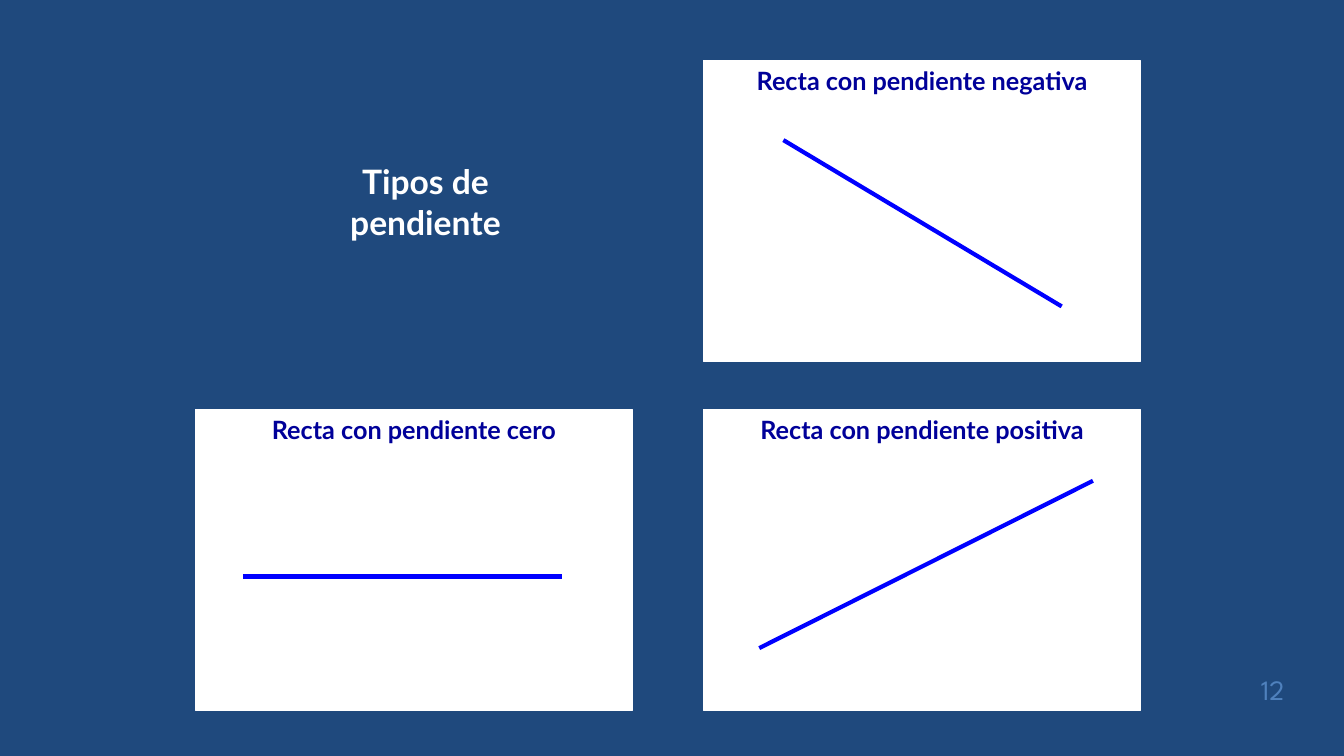
from lxml.etree import SubElement
from pptx import Presentation
from pptx.dml.color import RGBColor
from pptx.enum.shapes import MSO_CONNECTOR as Connector, MSO_SHAPE as Shape
from pptx.enum.text import MSO_ANCHOR as Anchor, PP_ALIGN as Align
from pptx.oxml.ns import qn
from pptx.util import Inches, Pt

TITLE = "Tipos de pendiente"
PAGE_NUMBER = "12"
PANELS = [
    ("Recta con pendiente negativa", 1, 0, (0.79, 0.79), (3.55, 2.44)),
    ("Recta con pendiente cero", 0, 1, (0.47, 1.66), (3.63, 1.66)),
    ("Recta con pendiente positiva", 1, 1, (0.55, 2.37), (3.86, 0.71)),
]
LEFT, TOP = 1.94, 0.6
PANEL_WIDTH, PANEL_HEIGHT = 4.33, 2.99
COLUMN_STEP, ROW_STEP = 5.04, 3.46


def color(value):
    return RGBColor.from_string(value)


def write(frame, text, size, font, ink, align, anchor, bold=False):
    frame.text = text
    frame.vertical_anchor = anchor
    para = frame.paragraphs[0]
    para.alignment = align
    para.line_spacing = 1.0
    para.space_before = Pt(0)
    para.font.size = Pt(size)
    para.font.name = font
    para.font.bold = bold
    para.font.color.rgb = color(ink)


def add_panel(page, caption, column, row, start, end):
    left = LEFT + column * COLUMN_STEP
    top = TOP + row * ROW_STEP
    panel = page.shapes.add_shape(
        Shape.RECTANGLE, Inches(left), Inches(top),
        Inches(PANEL_WIDTH), Inches(PANEL_HEIGHT))
    panel.shadow.inherit = False
    panel.fill.solid()
    panel.fill.fore_color.rgb = color("FFFFFF")
    panel.line.color.rgb = color("FFFFFF")
    panel.line.width = Pt(0.75)
    panel.text_frame.word_wrap = False
    write(panel.text_frame, caption, 18, "Lato", "000099",
          Align.CENTER, Anchor.TOP, True)

    slope = page.shapes.add_connector(
        Connector.STRAIGHT,
        Inches(left + start[0]), Inches(top + start[1]),
        Inches(left + end[0]), Inches(top + end[1]))
    slope.line.color.rgb = color("0000FF")
    slope.line.width = Pt(3)
    SubElement(slope._element.spPr, qn("a:effectLst"))


def main():
    deck = Presentation()
    deck.slide_width, deck.slide_height = Inches(13.33), Inches(7.5)
    page = deck.slides.add_slide(deck.slide_layouts[5])
    page.background.fill.solid()
    page.background.fill.fore_color.rgb = color("1F497D")

    for panel in PANELS:
        add_panel(page, *panel)

    title = page.shapes.title
    title.left, title.top = Inches(3.04), Inches(1.55)
    title.width, title.height = Inches(2.36), Inches(0.91)
    title.text_frame.word_wrap = True
    write(title.text_frame, TITLE, 24, "Lato", "FFFFFF",
          Align.CENTER, Anchor.TOP, True)

    number = page.shapes.add_textbox(
        Inches(11.68), Inches(6.47), Inches(1.16), Inches(0.54))
    number.text_frame.word_wrap = True
    number.text_frame.margin_bottom = Inches(0.01)
    write(number.text_frame, PAGE_NUMBER, 20, "League Spartan", "4F81BD",
          Align.RIGHT, Anchor.BOTTOM)

    deck.save("out.pptx")


if __name__ == "__main__":
    main()
